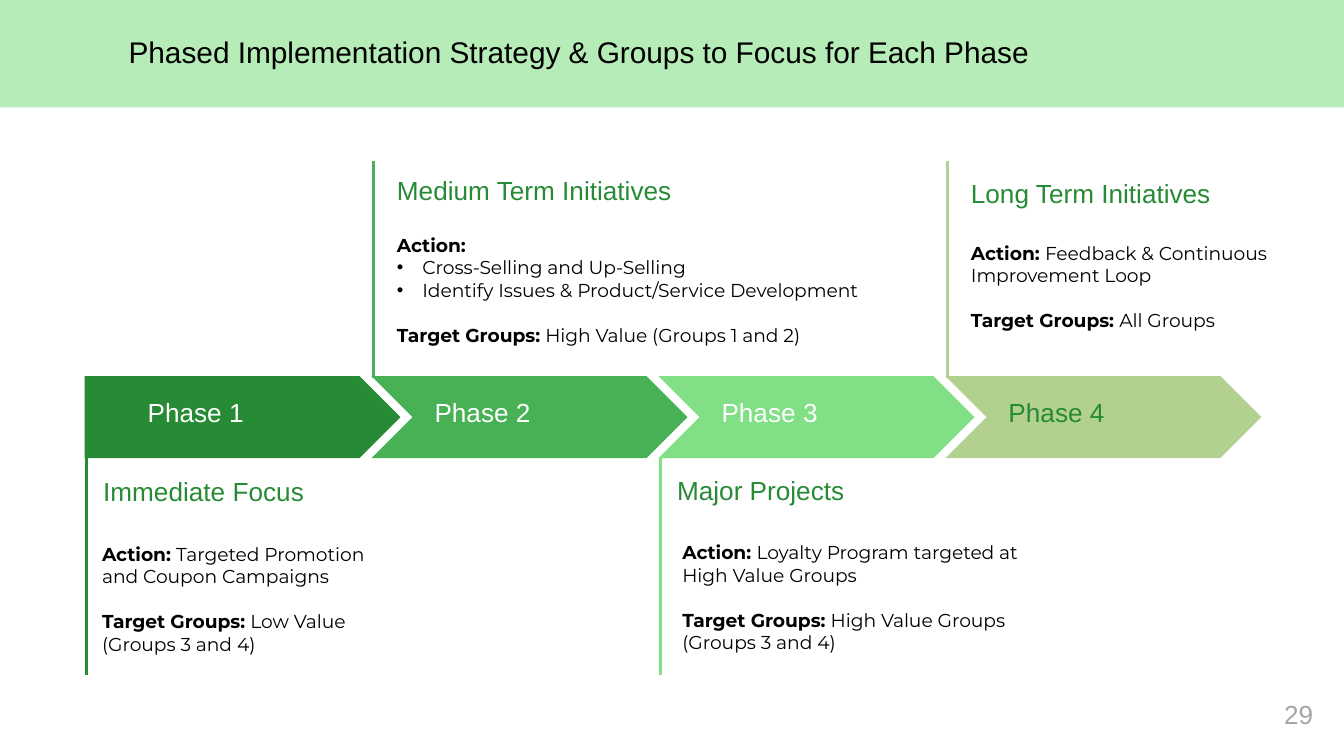
from collections import namedtuple

from lxml.etree import SubElement
from pptx import Presentation
from pptx.dml.color import RGBColor
from pptx.enum.shapes import MSO_CONNECTOR as Connector, MSO_SHAPE as Preset
from pptx.enum.text import MSO_ANCHOR as Anchor, MSO_AUTO_SIZE as AutoSize, PP_ALIGN as Align
from pptx.oxml.ns import qn
from pptx.util import Cm, Pt

COLORS = {
    "band": "B6ECB7", "dark": "278A35", "mid": "48B156", "light": "81DF85",
    "olive": "B2D190", "white": "FFFFFF", "black": "000000", "grey": "A6A6A6",
}

Box = namedtuple("Box", "left top width height")
Phase = namedtuple("Phase", "label color label_color heading body")
# Offsets of a text from the top of its note and the left edge of its arrow, in cm
Heading = namedtuple("Heading", "text dx dy")
Body = namedtuple("Body", "dx dy width lines")
# A line has a bold lead, a plain rest, and a style: "", "gap" or "bullet"
Line = namedtuple("Line", "lead rest style", defaults=("",))

PHASES = [
    Phase("Phase 1", "dark", "white", Heading("Immediate Focus", 0.1, 0.08),
          Body(0.08, 1.35, 5.77, [
              Line("Action: ", "Targeted Promotion and Coupon Campaigns"),
              Line("Target Groups: ", "Low Value (Groups 3 and 4)", "gap")])),
    Phase("Phase 2", "mid", "white", Heading("Medium Term Initiatives", 0.23, 0),
          Body(0.23, 1.12, 9.65, [
              Line("Action:", ""),
              Line("", "Cross-Selling and Up-Selling", "bullet"),
              Line("", "Identify Issues & Product/Service Development", "bullet"),
              Line("Target Groups: ", "High Value (Groups 1 and 2)", "gap")])),
    Phase("Phase 3", "light", "white", Heading("Major Projects", 0.1, 0.05),
          Body(0.2, 1.32, 6.99, [
              Line("Action: ", "Loyalty Program targeted at High Value Groups"),
              Line("Target Groups: ", "High Value Groups", "gap"),
              Line("", "(Groups 3 and 4)")])),
    Phase("Phase 4", "olive", "dark", Heading("Long Term Initiatives", 0.23, 0.05),
          Body(0.23, 1.27, 6.32, [
              Line("Action: ", "Feedback & Continuous Improvement Loop"),
              Line("Target Groups: ", "All Groups", "gap")])),
]


def rgb(name):
    return RGBColor.from_string(COLORS[name])


def lengths(box):
    return [Cm(value) for value in box]


def set_font(para, name, size, color):
    para.font.name = name
    para.font.size = Pt(size)
    para.font.color.rgb = rgb(color)


def prepare_frame(frame, inset=0.25):
    frame.word_wrap = True
    frame.auto_size = AutoSize.NONE
    frame.vertical_anchor = Anchor.TOP
    frame.margin_left = frame.margin_right = Cm(inset)
    frame.margin_top = frame.margin_bottom = Cm(inset)


def add_text(page, box, text, size, color, align=Align.LEFT, inset=0.25):
    frame = page.shapes.add_textbox(*lengths(box)).text_frame
    prepare_frame(frame, inset)
    para = frame.paragraphs[0]
    para.text = text
    para.alignment = align
    set_font(para, "Arial", size, color)


def add_filled(page, preset, box, color):
    shape = page.shapes.add_shape(preset, *lengths(box))
    shape.shadow.inherit = False
    shape.fill.solid()
    shape.fill.fore_color.rgb = rgb(color)
    shape.line.fill.background()
    return shape


def add_bullet(para):
    props = para._p.get_or_add_pPr()
    props.set("marL", str(Cm(0.48)))
    props.set("indent", str(-Cm(0.48)))
    SubElement(props, qn("a:buFont"), typeface="Arial")
    SubElement(props, qn("a:buChar"), char="•")


def add_body(page, box, lines):
    frame = page.shapes.add_textbox(*lengths(box)).text_frame
    prepare_frame(frame)
    for index, line in enumerate(lines):
        para = frame.add_paragraph() if index else frame.paragraphs[0]
        set_font(para, "Montserrat", 10, "black")
        if line.style == "gap":
            para.space_before = Pt(12)
        elif line.style == "bullet":
            add_bullet(para)
        for text, bold in ((line.lead, True), (line.rest, False)):
            if text:
                span = para.add_run()
                span.text = text
                span.font.bold = bold


def add_header(page, box):
    band = add_filled(page, Preset.RECTANGLE, box, "band")
    page.shapes._spTree.insert(2, band._element)  # behind the title
    title = page.shapes.title
    title.left, title.top, title.width, title.height = lengths(
        Box(box.left + 2.18, box.top + 0.38, 21.87, 1.52))
    prepare_frame(title.text_frame)
    para = title.text_frame.paragraphs[0]
    para.text = "Phased Implementation Strategy & Groups to Focus for Each Phase"
    para.alignment = Align.LEFT
    set_font(para, "Arial", 16, "black")


def add_arrow(page, box, phase, preset):
    add_filled(page, preset, box, phase.color)
    label = Box(box.left + 0.94, box.top + 0.13, 5.05, 0.84)
    add_text(page, label, phase.label, 14, phase.label_color)


def add_note(page, box, phase):
    """Place the stem, heading and body of a phase above or below its arrow."""
    stem_x = Cm(box.left + 0.04)
    stem = page.shapes.add_connector(
        Connector.STRAIGHT, stem_x, Cm(box.top), stem_x, Cm(box.top + box.height))
    stem.line.color.rgb = rgb(phase.color)
    stem.line.width = Pt(1.5)
    SubElement(stem._element.spPr, qn("a:effectLst"))

    heading, body = phase.heading, phase.body
    add_text(page, Box(box.left + heading.dx, box.top + heading.dy, box.width, 1.17),
             heading.text, 14, "dark")
    add_body(page, Box(box.left + body.dx, box.top + body.dy, body.width, 2.6), body.lines)


def add_timeline(page, box):
    """Chain the arrows across the box, with notes below and above in turn."""
    arrow_width, arrow_height, note_height = 5.97, 1.55, 4.09
    step = (box.width - arrow_width) / (len(PHASES) - 1)
    arrow_top = box.top + note_height - 0.03
    for index, phase in enumerate(PHASES):
        left = box.left + index * step
        preset = Preset.CHEVRON if index else Preset.PENTAGON
        add_arrow(page, Box(left, arrow_top, arrow_width, arrow_height), phase, preset)
        note_top = box.top if index % 2 else arrow_top + arrow_height
        add_note(page, Box(left, note_top, 6.6, note_height), phase)


def main():
    deck = Presentation()
    deck.slide_width, deck.slide_height = Cm(25.4), Cm(14.29)
    page = deck.slides.add_slide(deck.slide_layouts[5])
    add_header(page, Box(0, 0, 25.4, 2.03))
    add_timeline(page, Box(1.6, 3.05, 22.24, 9.7))
    add_text(page, Box(23.55, 12.95, 1.52, 1.09), "29", 14, "grey", Align.RIGHT, 0.25)
    deck.save("out.pptx")


if __name__ == "__main__":
    main()
